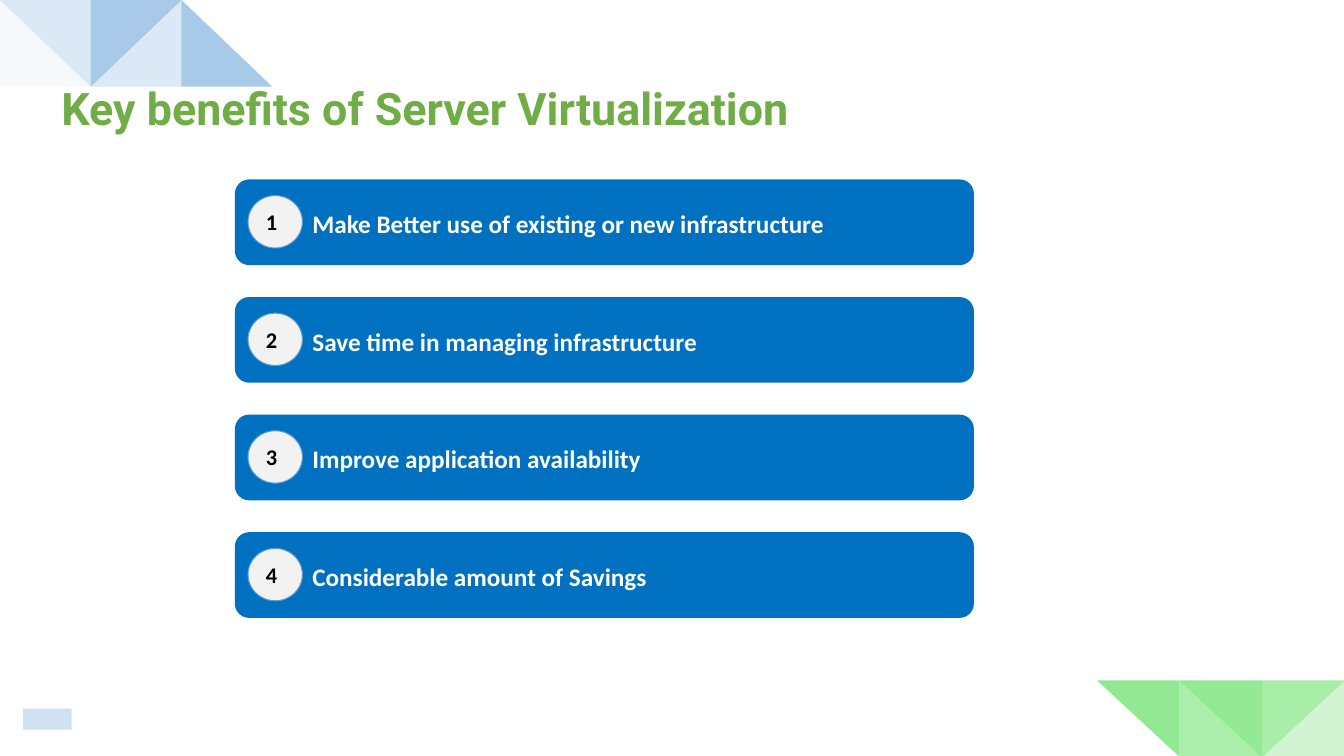
import pptx
import pptx.util
import pptx.dml.color
import pptx.enum.shapes
import pptx.enum.text
import pptx.oxml.ns
import lxml.etree

# Content
TITLE = "Key benefits of Server Virtualization"
ITEMS = [
    "Make Better use of existing or new infrastructure",
    "Save time in managing infrastructure",
    "Improve application availability",
    "Considerable amount of Savings",
]
# Corner triangles: column, turn, colour, opacity in percent
TOP = [
    (0, 0, "5B9BD5", 5), (0, 180, "5B9BD5", 22),
    (1, 90, "5B9BD5", 53), (1, 270, "5B9BD5", 22),
    (2, 0, "A8CAE9", 100),
]
BASE = [
    (2, 270, "33CC33", 21), (2, 90, "00CC00", 34),
    (1, 180, "00CC00", 42), (1, 0, "00CC00", 33),
    (0, 180, "93E993", 100),
]

# Layout, in inches
WIDE, HIGH = 13.33, 7.5
BAR_X, BAR_Y, BAR_W, BAR_H = 2.33, 1.78, 7.33, 0.85
STEP = 3.5 / 3
DOT_X, DOT_W, DOT_H = 2.46, 0.54, 0.52
TEXT_X, TEXT_W, TEXT_H = 3, 6.67, 0.4

KIND = pptx.enum.shapes.MSO_SHAPE
MID = pptx.enum.text.MSO_ANCHOR.MIDDLE

deck = pptx.Presentation()
deck.slide_width = pptx.util.Inches(WIDE)
deck.slide_height = pptx.util.Inches(HIGH)
slide = deck.slides.add_slide(deck.slide_layouts[6])


def paint(color, code):
    color.rgb = pptx.dml.color.RGBColor.from_string(code)


def shape(kind, box, code, alpha=100):
    item = slide.shapes.add_shape(kind, *map(pptx.util.Inches, box))
    item.shadow.inherit = False
    item.fill.solid()
    paint(item.fill.fore_color, code)
    item.line.fill.background()
    if alpha < 100:
        clr = item.fill._xPr.find(".//" + pptx.oxml.ns.qn("a:srgbClr"))
        tag = pptx.oxml.ns.qn("a:alpha")
        lxml.etree.SubElement(clr, tag).set("val", str(alpha * 1000))
    return item


def write(item, words, size, code, font="Calibri", wrap=True):
    frame = item.text_frame
    frame.word_wrap = wrap
    frame.text = words
    para = frame.paragraphs[0]
    para.alignment = pptx.enum.text.PP_ALIGN.LEFT
    para.font.name, para.font.bold = font, True
    para.font.size = pptx.util.Pt(size)
    paint(para.font.color, code)
    return frame


def label(box, *args, **kwargs):
    item = slide.shapes.add_textbox(*map(pptx.util.Inches, box))
    return write(item, *args, **kwargs)


def corner(parts, left, top, wide, high):
    for col, turn, code, alpha in parts:
        # A quarter turn swaps the frame's sides about its centre
        w, h = (high, wide) if turn % 180 else (wide, high)
        x = left + (col + 0.5) * wide - w / 2
        y = top + (high - h) / 2
        shape(KIND.RIGHT_TRIANGLE, (x, y, w, h), code, alpha).rotation = turn


# Corner patterns
corner(TOP, 0, 0, 0.9, 0.86)
corner(BASE, 10.88, 6.75, 0.82, 0.76)

# Plain block at the foot
shape(KIND.RECTANGLE, (0.23, 7.03, 0.48, 0.21), "5B9BD5", 29)

# Numbered bars
for row, words in enumerate(ITEMS):
    y = BAR_Y + row * STEP
    shape(KIND.ROUNDED_RECTANGLE, (BAR_X, y, BAR_W, BAR_H), "0070C0")
    label((TEXT_X, y + 0.24, TEXT_W, TEXT_H), words, 18, "FFFFFF")
    dot = shape(KIND.OVAL, (DOT_X, y + 0.16, DOT_W, DOT_H), "F2F2F2")
    paint(dot.line.color, "5B9BD5")
    dot.line.width = pptx.util.Pt(0.75)
    write(dot, str(row + 1), 16, "000000", wrap=False).vertical_anchor = MID

# Title
head = label((0.51, 0.92, 9.19, 0.36), TITLE, 32, "70AD47", font="Roboto")
head.vertical_anchor = MID
head.paragraphs[0].line_spacing = 0.9

deck.save("out.pptx")
